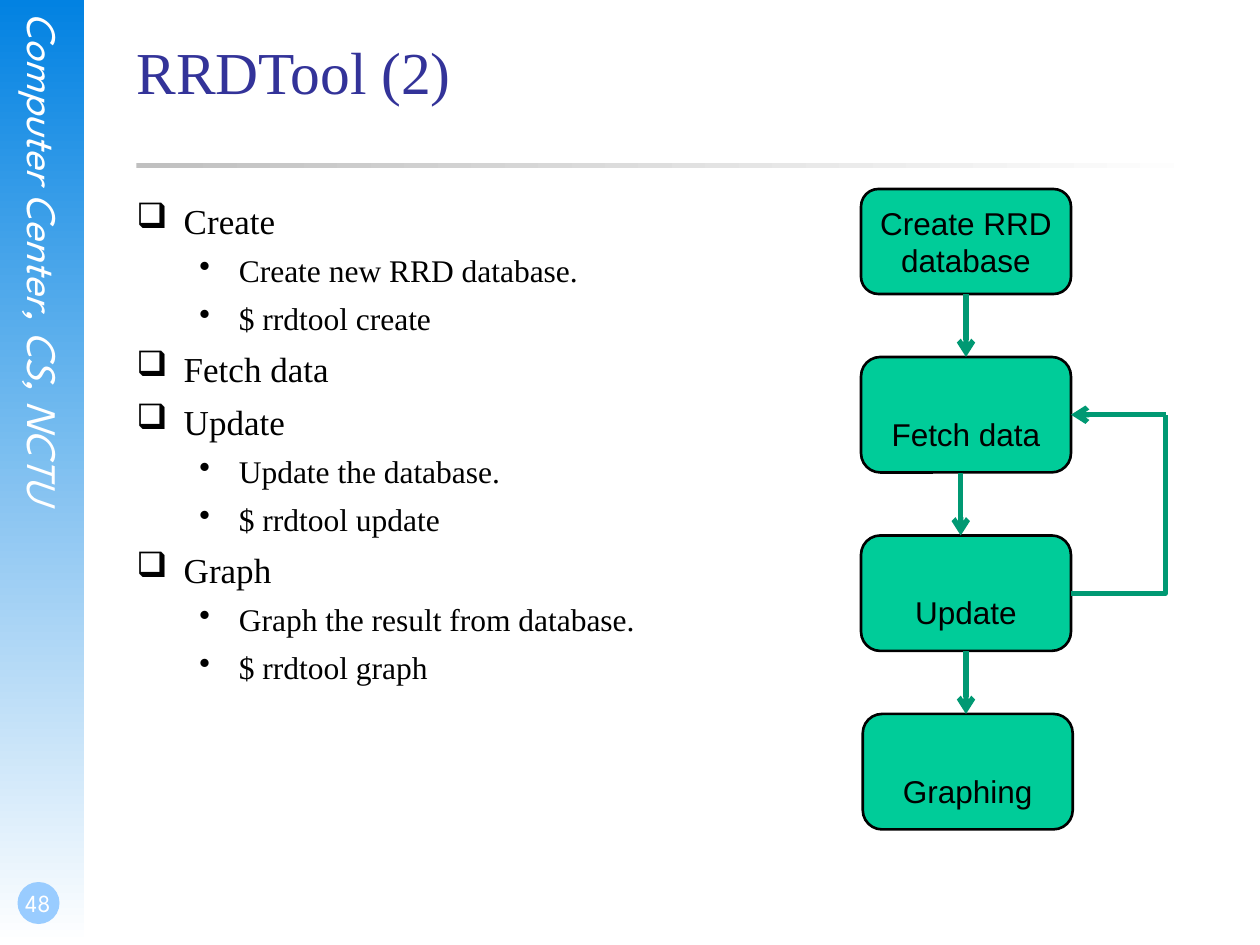
from lxml import etree
from pptx import Presentation
from pptx.dml.color import RGBColor
from pptx.enum.shapes import MSO_CONNECTOR, MSO_SHAPE
from pptx.enum.text import MSO_ANCHOR, PP_ALIGN
from pptx.oxml.ns import qn
from pptx.util import Pt

WHITE = RGBColor(0xFF, 0xFF, 0xFF)
BLACK = RGBColor(0x00, 0x00, 0x00)
SIDEBAR_BLUE = RGBColor(0x02, 0x82, 0xE2)
BADGE_BLUE = RGBColor(0x99, 0xCC, 0xFF)
RULE_GRAY = RGBColor(0xC0, 0xC0, 0xC0)
TITLE_BLUE = RGBColor(0x33, 0x33, 0x99)
STEP_GREEN = RGBColor(0x00, 0xCC, 0x99)
ARROW_GREEN = RGBColor(0x00, 0x99, 0x73)

SERIF, SANS, SIDEBAR_FONT = "Times New Roman", "Arial", "League Spartan"

# Per level: bullet, text size, left margin, hanging indent, space before
LEVELS = [("❑", 20, 27, 27, 6.2), ("•", 18, 58.5, 22.5, 5.6)]
TOPICS = [
    (0, "Create"),
    (1, "Create new RRD database."),
    (1, "$ rrdtool create"),
    (0, "Fetch data"),
    (0, "Update"),
    (1, "Update the database."),
    (1, "$ rrdtool update"),
    (0, "Graph"),
    (1, "Graph the result from database."),
    (1, "$ rrdtool graph"),
]


def add_run(paragraph, text, size, font, color, italic=False):
    run = paragraph.add_run()
    run.text = text
    run.font.size = Pt(size)
    run.font.name = font
    run.font.italic = italic
    run.font.color.rgb = color


def add_text_frame(slide, left, top, width, height, margins=(0, 0, 0, 0)):
    box = slide.shapes.add_textbox(Pt(left), Pt(top), Pt(width), Pt(height))
    frame = box.text_frame
    frame.word_wrap = True
    (frame.margin_left, frame.margin_top,
     frame.margin_right, frame.margin_bottom) = map(Pt, margins)
    return frame


def add_plain_shape(slide, preset, left, top, width, height):
    shape = slide.shapes.add_shape(preset, Pt(left), Pt(top), Pt(width), Pt(height))
    shape.shadow.inherit = False
    shape.line.fill.background()
    return shape


def fade_to_white(shape, color, angle):
    shape.fill.gradient()
    shape.fill.gradient_angle = angle
    for stop, stop_color in zip(shape.fill.gradient_stops, (color, WHITE)):
        stop.color.rgb = stop_color


def add_sidebar(slide, left, top, width, height):
    band = add_plain_shape(slide, MSO_SHAPE.RECTANGLE, left, top, width, height)
    fade_to_white(band, SIDEBAR_BLUE, 270)

    affiliation = add_text_frame(slide, left + 11, top + 7, 29, 368)
    affiliation._txBody.bodyPr.set("vert", "eaVert")
    line = affiliation.paragraphs[0]
    line.alignment = PP_ALIGN.CENTER
    add_run(line, "Computer Center, CS, NCTU", 24, SIDEBAR_FONT, WHITE, italic=True)

    bottom = top + height
    badge = add_plain_shape(slide, MSO_SHAPE.OVAL, left + 10, bottom - 36, 24, 24)
    badge.fill.solid()
    badge.fill.fore_color.rgb = BADGE_BLUE
    page = add_text_frame(slide, left, bottom - 48, 42, 36, (1.5, 0, 0, 3.6))
    page.vertical_anchor = MSO_ANCHOR.BOTTOM
    page.paragraphs[0].alignment = PP_ALIGN.CENTER
    add_run(page.paragraphs[0], "48", 14, SIDEBAR_FONT, WHITE)


def add_heading(slide, left, top, width, height):
    rule = add_plain_shape(slide, MSO_SHAPE.RECTANGLE, left, top + 73, width, 3)
    fade_to_white(rule, RULE_GRAY, 0)
    title = add_text_frame(slide, left, top, width, height)
    add_run(title.paragraphs[0], "RRDTool (2)", 34, SERIF, TITLE_BLUE)


def set_bullet(paragraph, char, margin, hanging):
    properties = paragraph._p.get_or_add_pPr()
    properties.set("marL", str(Pt(margin)))
    properties.set("indent", str(-Pt(hanging)))
    bullet_color = etree.SubElement(properties, qn("a:buClr"))
    etree.SubElement(bullet_color, qn("a:srgbClr"), val=str(BLACK))
    etree.SubElement(properties, qn("a:buChar"), char=char)


def add_topics(slide, left, top, width, height):
    frame = add_text_frame(slide, left, top, width, height)
    for index, (level, text) in enumerate(TOPICS):
        paragraph = frame.add_paragraph() if index else frame.paragraphs[0]
        char, size, margin, hanging, space_before = LEVELS[level]
        paragraph.level = level
        set_bullet(paragraph, char, margin, hanging)
        if index:
            paragraph.space_before = Pt(space_before)
        add_run(paragraph, text, size, SERIF, BLACK)


def add_step(slide, left, top, width, height, lines, line_spacing):
    step = add_plain_shape(slide, MSO_SHAPE.ROUNDED_RECTANGLE, left, top, width, height)
    step.fill.solid()
    step.fill.fore_color.rgb = STEP_GREEN
    step.line.color.rgb = BLACK
    step.line.width = Pt(1.5)
    frame = step.text_frame
    frame.word_wrap = False
    frame.vertical_anchor = MSO_ANCHOR.MIDDLE
    for index, text in enumerate(lines):
        paragraph = frame.add_paragraph() if index else frame.paragraphs[0]
        paragraph.alignment = PP_ALIGN.CENTER
        paragraph.line_spacing = line_spacing
        add_run(paragraph, text, 18, SANS, BLACK)


def add_link(slide, start, end, kind=MSO_CONNECTOR.STRAIGHT, arrow=True):
    link = slide.shapes.add_connector(kind, *map(Pt, start + end))
    link.line.color.rgb = ARROW_GREEN
    link.line.width = Pt(3)
    if arrow:
        etree.SubElement(link.line._get_or_add_ln(), qn("a:tailEnd"), type="arrow")
    etree.SubElement(link._element.spPr, qn("a:effectLst"))
    return link


def add_flow(slide, left, top, width):
    """Four steps down a column, with a loop from Update back to Fetch data."""
    first_height, height, gap = 60, 66, 36
    fetch_top = top + first_height + gap
    fetch, update, graphing = (fetch_top + i * (height + gap) for i in range(3))

    add_step(slide, left, top, width, first_height, ["Create RRD", "database"], 1.0)
    add_step(slide, left, fetch, width, height, ["Fetch data"], 2.0)
    add_step(slide, left, update, width, height, ["Update"], 2.0)
    add_step(slide, left + 1, graphing, width, height, ["Graphing"], 2.0)

    center = left + width / 2
    for x, step_top in ((center, fetch), (center - 3, update), (center, graphing)):
        add_link(slide, (x, step_top - gap), (x, step_top))

    right = left + width
    corner = (right + 54, fetch + height / 2)
    loop = add_link(slide, (right, update + height / 2), corner,
                    MSO_CONNECTOR.ELBOW, arrow=False)
    loop._element.spPr.find(qn("a:prstGeom")).set("prst", "bentConnector2")
    add_link(slide, corner, (right, corner[1]))


def main():
    deck = Presentation()
    deck.slide_width, deck.slide_height = Pt(720), Pt(540)
    slide = deck.slides.add_slide(deck.slide_layouts[6])
    add_sidebar(slide, 0, 0, 48, 540)
    add_heading(slide, 78, 20, 612, 90)
    add_topics(slide, 78, 114, 612, 366)
    add_flow(slide, 492, 108, 120)
    deck.save("out.pptx")


if __name__ == "__main__":
    main()
